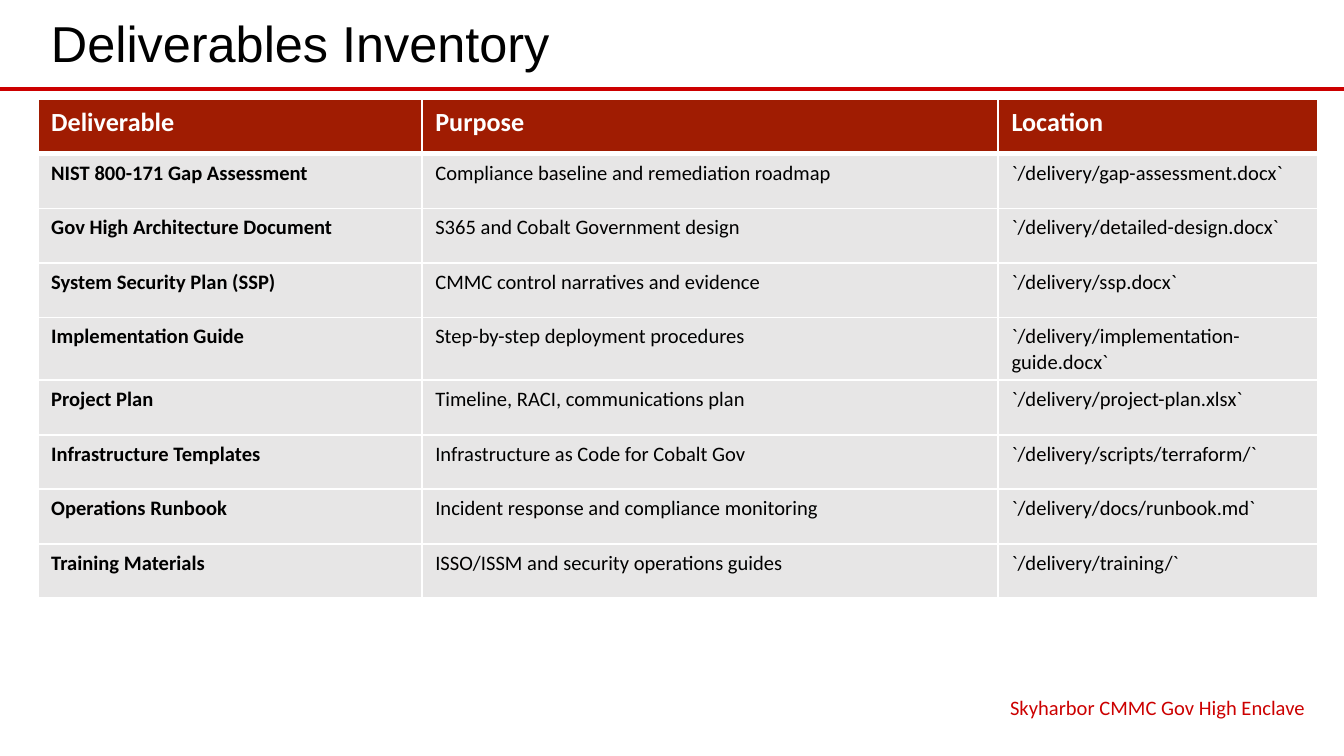
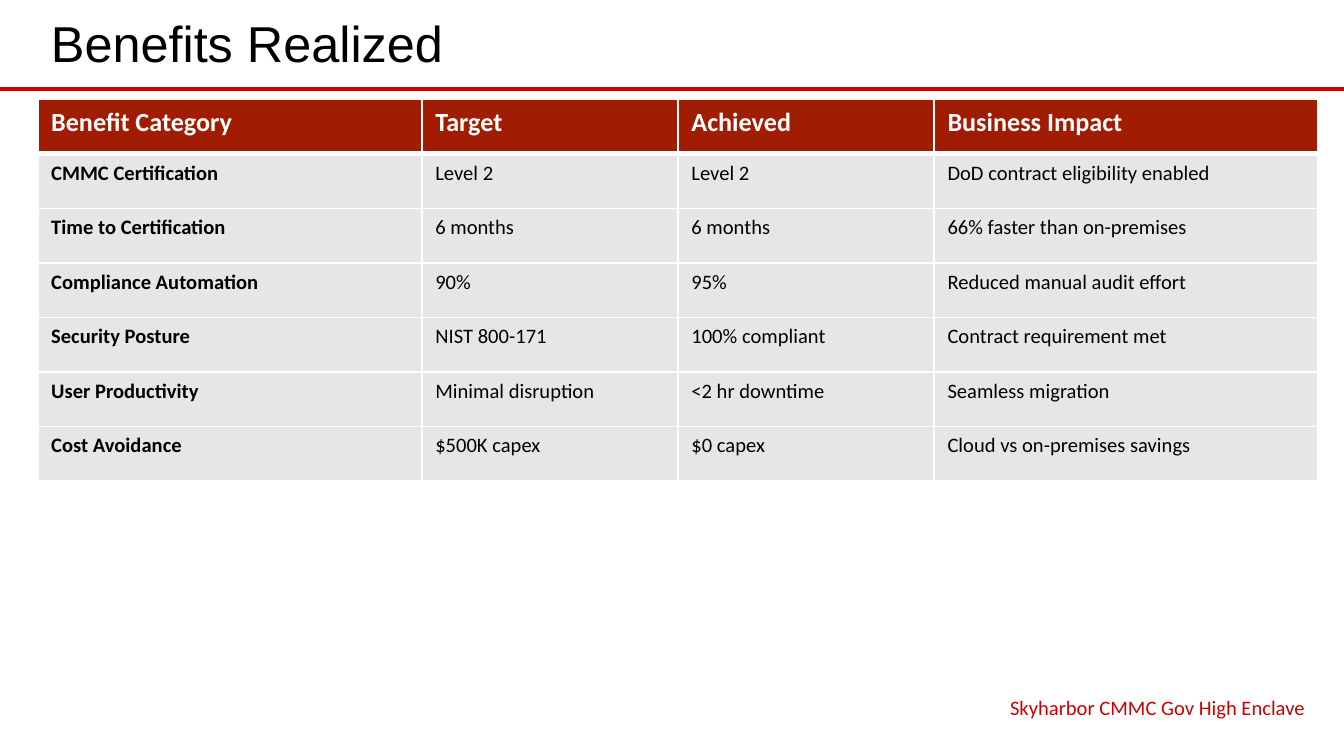
"""Builds the deliverables and benefits slides of the compliance enclave deck."""
from lxml import etree
from pptx import Presentation
from pptx.dml.color import RGBColor
from pptx.enum import shapes, text
from pptx.oxml import ns
from pptx.util import Pt

RED = RGBColor(0xCC, 0x00, 0x00)
BRICK = RGBColor(0xA0, 0x1C, 0x02)
GREY = RGBColor(0xE7, 0xE6, 0xE6)
BLACK = RGBColor(0, 0, 0)
WHITE = RGBColor(0xFF, 0xFF, 0xFF)
LEFT, WIDTH, ROW_HEIGHT = 20.2, 686, 29.2
FOOTER = "Skyharbor CMMC Gov High Enclave"

SLIDES = [
    ("Deliverables Inventory", [0.3, 0.45, 0.25], [
        ("Deliverable", "Purpose", "Location"),
        ("NIST 800-171 Gap Assessment", "Compliance baseline and remediation roadmap",
         "`/delivery/gap-assessment.docx`"),
        ("Gov High Architecture Document", "S365 and Cobalt Government design",
         "`/delivery/detailed-design.docx`"),
        ("System Security Plan (SSP)", "CMMC control narratives and evidence",
         "`/delivery/ssp.docx`"),
        ("Implementation Guide", "Step-by-step deployment procedures",
         "`/delivery/implementation-guide.docx`"),
        ("Project Plan", "Timeline, RACI, communications plan",
         "`/delivery/project-plan.xlsx`"),
        ("Infrastructure Templates", "Infrastructure as Code for Cobalt Gov",
         "`/delivery/scripts/terraform/`"),
        ("Operations Runbook", "Incident response and compliance monitoring",
         "`/delivery/docs/runbook.md`"),
        ("Training Materials", "ISSO/ISSM and security operations guides",
         "`/delivery/training/`"),
    ]),
    ("Benefits Realized", [0.3, 0.2, 0.2, 0.3], [
        ("Benefit Category", "Target", "Achieved", "Business Impact"),
        ("CMMC Certification", "Level 2", "Level 2", "DoD contract eligibility enabled"),
        ("Time to Certification", "6 months", "6 months", "66% faster than on-premises"),
        ("Compliance Automation", "90%", "95%", "Reduced manual audit effort"),
        ("Security Posture", "NIST 800-171", "100% compliant", "Contract requirement met"),
        ("User Productivity", "Minimal disruption", "<2 hr downtime", "Seamless migration"),
        ("Cost Avoidance", "$500K capex", "$0 capex", "Cloud vs on-premises savings"),
    ]),
]


def write(frame, words, size, color, font="Calibri", bold=False):
    para = frame.paragraphs[0]
    span = para.add_run()
    span.text = words
    span.font.name = font
    span.font.size = Pt(size)
    span.font.bold = bold
    span.font.color.rgb = color
    return para


def add_border(cell, side, width):
    properties = cell._tc.get_or_add_tcPr()
    line = etree.SubElement(properties, ns.qn(f"a:ln{side}"), w=str(Pt(width)))
    fill = etree.SubElement(line, ns.qn("a:solidFill"))
    etree.SubElement(fill, ns.qn("a:srgbClr"), val=str(WHITE))


deck = Presentation()
deck.slide_width, deck.slide_height = Pt(720), Pt(405)

for title, shares, rows in SLIDES:
    page = deck.slides.add_slide(deck.slide_layouts[6])

    rule = page.shapes.add_connector(
        shapes.MSO_CONNECTOR.STRAIGHT, 0, Pt(47.5), Pt(720), Pt(47.5))
    rule.line.color.rgb = RED
    rule.line.width = Pt(2.25)
    etree.SubElement(rule._element.spPr, ns.qn("a:effectLst"))

    title_box = page.shapes.add_textbox(Pt(LEFT), Pt(3.2), Pt(WIDTH), Pt(42))
    title_box.text_frame.word_wrap = True
    title_box.text_frame.vertical_anchor = text.MSO_ANCHOR.MIDDLE
    title_box.text_frame.margin_bottom = Pt(6.6)
    write(title_box.text_frame, title, 27, BLACK, "Arial")

    table = page.shapes.add_table(
        len(rows), len(shares), Pt(LEFT), Pt(53.3), Pt(WIDTH), Pt(ROW_HEIGHT * len(rows))).table
    table.horz_banding = False
    for column, share in zip(table.columns, shares):
        column.width = Pt(WIDTH * share)
    for r, row in enumerate(rows):
        table.rows[r].height = Pt(ROW_HEIGHT)
        header = r == 0
        for c, words in enumerate(row):
            cell = table.cell(r, c)
            for side in "LR":
                add_border(cell, side, 1)
            add_border(cell, "T", 3 if r == 1 else 1)
            add_border(cell, "B", 3 if header else 1)
            cell.fill.solid()
            cell.fill.fore_color.rgb = BRICK if header else GREY
            write(cell.text_frame, words, 14 if header else 11,
                  WHITE if header else BLACK, bold=header or c == 0)

    footer_box = page.shapes.add_textbox(Pt(452.9), Pt(368.6), Pt(253.4), Pt(18.7))
    footer_box.text_frame.word_wrap = True
    para = write(footer_box.text_frame, FOOTER, 11, RED)
    para.alignment = text.PP_ALIGN.RIGHT

deck.save("out.pptx")
